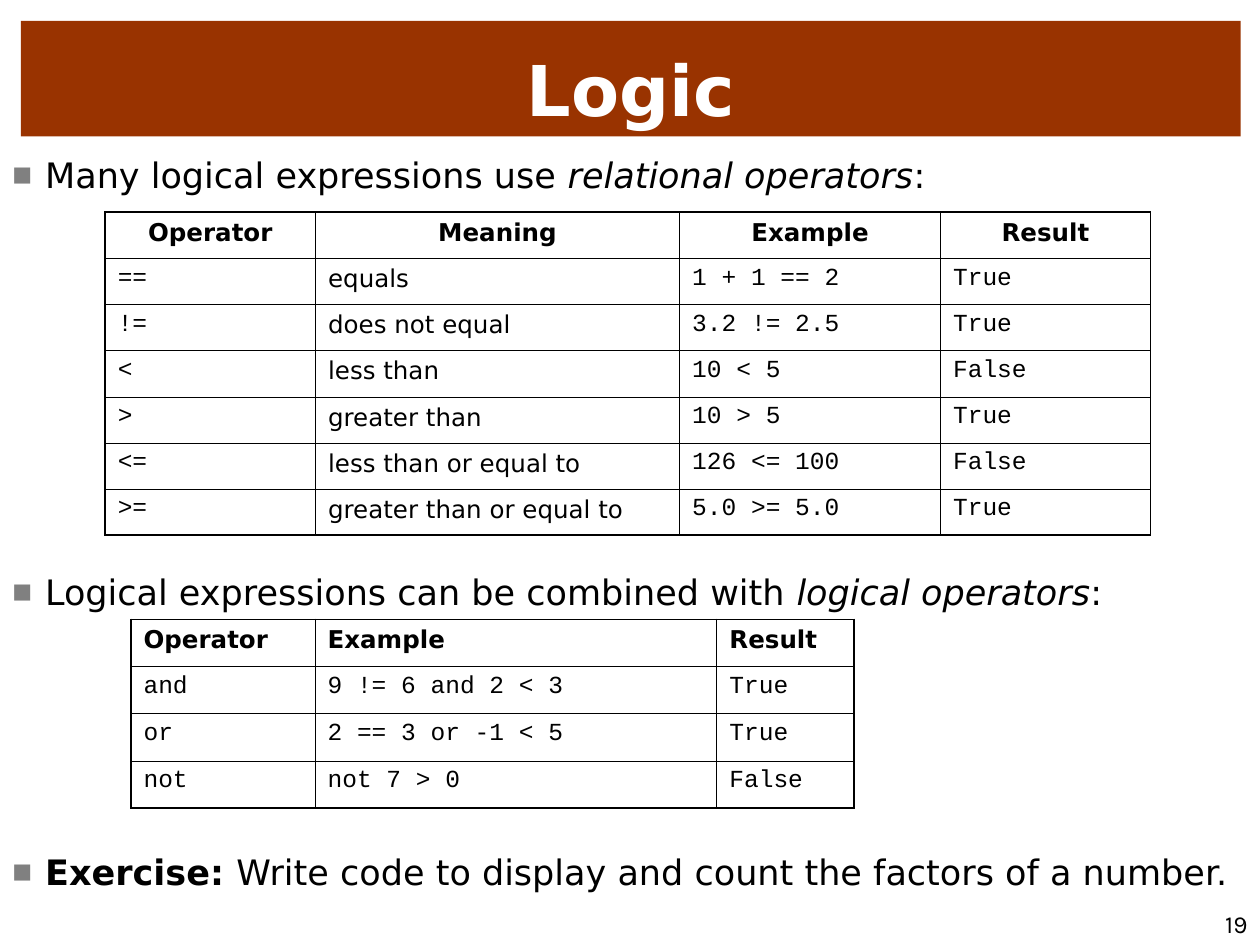
import pptx
import pptx.dml.color
import pptx.enum.shapes
import pptx.enum.text
import pptx.oxml
import pptx.oxml.ns
import pptx.util
import lxml.etree

Cm = pptx.util.Cm
Pt = pptx.util.Pt
RUST = pptx.dml.color.RGBColor(0x99, 0x33, 0x00)
BLACK = pptx.dml.color.RGBColor(0, 0, 0)
GRAY = pptx.dml.color.RGBColor(0x80, 0x80, 0x80)
WHITE = pptx.dml.color.RGBColor(0xFF, 0xFF, 0xFF)
SANS, MONO, NUMBER_FONT = "DejaVu Sans", "Courier New", "Karla"
ALIGN = pptx.enum.text.PP_ALIGN
BOTTOM = pptx.enum.text.MSO_ANCHOR.BOTTOM

RELATIONAL_ROWS = [
    ("Operator", "Meaning", "Example", "Result"),
    ("==", "equals", "1 + 1 == 2", "True"),
    ("!=", "does not equal", "3.2 != 2.5", "True"),
    ("<", "less than", "10 < 5", "False"),
    (">", "greater than", "10 > 5", "True"),
    ("<=", "less than or equal to", "126 <= 100", "False"),
    (">=", "greater than or equal to", "5.0 >= 5.0", "True"),
]
LOGICAL_ROWS = [
    ("Operator", "Example", "Result"),
    ("and", "9 != 6 and 2 < 3", "True"),
    ("or", "2 == 3 or -1 < 5", "True"),
    ("not", "not 7 > 0", "False"),
]
BULLETS = [
    (5, [("Many logical expressions use ", {}), ("relational operators", {"italic": True}), (":", {})]),
    (214.4, [("Logical expressions can be combined with ", {}),
             ("logical operators", {"italic": True}), (":", {})]),
    (136.1, [("Exercise: ", {"bold": True}),
             ("Write code to display and count the factors of a number.", {})]),
]


def add_run(paragraph, text, size=20, font=SANS, color=BLACK, bold=False, italic=False):
    run = paragraph.add_run()
    run.text = text
    run.font.size = Pt(size)
    run.font.name = font
    run.font.color.rgb = color
    run.font.bold = bold
    run.font.italic = italic


def add_element(parent, tag, **attributes):
    element = lxml.etree.SubElement(parent, pptx.oxml.ns.qn(tag))
    for name, value in attributes.items():
        element.set(name, str(value))
    return element


class SlideBuilder:
    """Draws styled elements on the current slide."""

    outer_line = Pt(1.08)
    inner_line = Pt(0.45)
    bullet_indent = Cm(0.66)

    def __init__(self, slide):
        self.slide = slide

    def banner(self, text, left, top, width, height):
        shape = self.slide.shapes.add_shape(
            pptx.enum.shapes.MSO_SHAPE.RECTANGLE, Cm(left), Cm(top), Cm(width), Cm(height))
        shape.shadow.inherit = False
        shape.fill.solid()
        shape.fill.fore_color.rgb = RUST
        shape.line.fill.background()
        shape.text_frame.vertical_anchor = BOTTOM
        paragraph = shape.text_frame.paragraphs[0]
        paragraph.alignment = ALIGN.CENTER
        add_run(paragraph, text, size=40, color=WHITE, bold=True)

    def text_box(self, left, top, width, height):
        shape = self.slide.shapes.add_textbox(Cm(left), Cm(top), Cm(width), Cm(height))
        shape.text_frame.word_wrap = True
        return shape.text_frame

    def bullets(self, items, left, top, width, height):
        frame = self.text_box(left, top, width, height)
        for index, (space_before, runs) in enumerate(items):
            paragraph = frame.add_paragraph() if index else frame.paragraphs[0]
            paragraph.space_before = Pt(space_before)
            properties = paragraph._p.get_or_add_pPr()
            properties.set("marL", str(self.bullet_indent))
            properties.set("indent", str(-self.bullet_indent))
            color = add_element(properties, "a:buClr")
            add_element(color, "a:srgbClr", val=GRAY)
            add_element(properties, "a:buSzPct", val=60000)
            add_element(properties, "a:buFont", typeface=SANS)
            add_element(properties, "a:buChar", char="■")
            for text, style in runs:
                add_run(paragraph, text, **style)

    def borders(self, cell, outer_sides):
        properties = cell._tc.get_or_add_tcPr()
        for side in "LRTB":
            width = self.outer_line if side in outer_sides else self.inner_line
            line = add_element(properties, f"a:ln{side}", w=int(width))
            fill = add_element(line, "a:solidFill")
            add_element(fill, "a:srgbClr", val=BLACK)

    def table(self, rows, left, top, column_widths, row_height,
              header_alignment=ALIGN.LEFT, sans_column=None):
        last_row, last_column = len(rows) - 1, len(column_widths) - 1
        table = self.slide.shapes.add_table(
            len(rows), len(column_widths), Cm(left), Cm(top),
            Cm(sum(column_widths)), Cm(row_height * len(rows))).table
        table.first_row = table.horz_banding = False
        for column, width in zip(table.columns, column_widths):
            column.width = Cm(width)
        for r, texts in enumerate(rows):
            table.rows[r].height = Cm(row_height)
            for c, text in enumerate(texts):
                cell = table.cell(r, c)
                edges = {"L": c == 0, "R": c == last_column, "T": r == 0, "B": r == last_row}
                self.borders(cell, [side for side, is_outer in edges.items() if is_outer])
                cell.fill.background()
                paragraph = cell.text_frame.paragraphs[0]
                paragraph.space_before = Pt(3.5)
                header = r == 0
                paragraph.alignment = header_alignment if header else ALIGN.LEFT
                font = SANS if header or c == sans_column else MONO
                add_run(paragraph, text, size=14, font=font, bold=header)

    def page_number(self, text, left, top, width, height):
        frame = self.text_box(left, top, width, height)
        frame.vertical_anchor = BOTTOM
        frame.paragraphs[0].alignment = ALIGN.RIGHT
        add_run(frame.paragraphs[0], text, size=14, font=NUMBER_FONT)


def main():
    presentation = pptx.Presentation()
    presentation.slide_width = Cm(25.4)
    presentation.slide_height = Cm(19.05)
    builder = SlideBuilder(presentation.slides.add_slide(presentation.slide_layouts[6]))
    builder.banner("Logic", 0.42, 0.42, 24.59, 2.33)
    builder.bullets(BULLETS, 0, 2.96, 25.4, 15.45)
    builder.table(LOGICAL_ROWS, 2.64, 12.49, [3.71, 8.1, 2.77], 0.95)
    builder.table(RELATIONAL_ROWS, 2.12, 4.28, [4.24, 7.34, 5.26, 4.23], 0.93,
                  header_alignment=ALIGN.CENTER, sans_column=1)
    builder.page_number("19", 21.59, 17.78, 3.81, 1.27)
    presentation.save("out.pptx")


if __name__ == "__main__":
    main()
